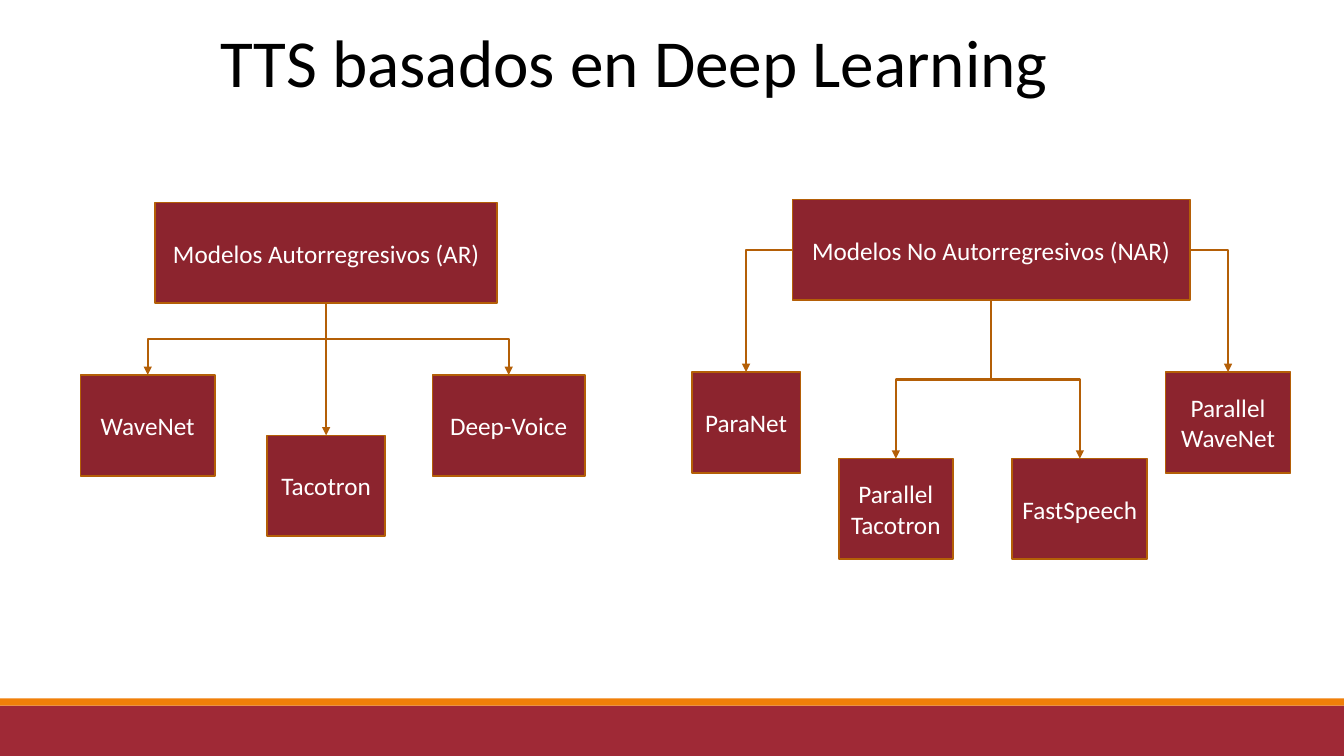
from dataclasses import dataclass

from lxml import etree
from pptx import Presentation
from pptx.dml.color import RGBColor
from pptx.enum.shapes import MSO_CONNECTOR, MSO_SHAPE
from pptx.enum.text import MSO_ANCHOR, MSO_AUTO_SIZE, PP_ALIGN
from pptx.oxml.ns import qn
from pptx.util import Inches, Pt

RECTANGLE = MSO_SHAPE.RECTANGLE
STRAIGHT, ELBOW = MSO_CONNECTOR.STRAIGHT, MSO_CONNECTOR.ELBOW
CENTER, MIDDLE = PP_ALIGN.CENTER, MSO_ANCHOR.MIDDLE
FIT_SHAPE = MSO_AUTO_SIZE.SHAPE_TO_FIT_TEXT

BLACK = RGBColor(0x00, 0x00, 0x00)
WHITE = RGBColor(0xFF, 0xFF, 0xFF)
WINE = RGBColor(0x8C, 0x24, 0x2E)
CRIMSON = RGBColor(0x9F, 0x29, 0x36)
ORANGE = RGBColor(0xF0, 0x7F, 0x09)
BROWN = RGBColor(0xB4, 0x5F, 0x07)

TOP, LEFT, BOTTOM, RIGHT = range(4)
BOX_HEIGHT = 1.0


@dataclass(frozen=True)
class Box:
    text: str
    left: float
    top: float
    width: float

    @property
    def center(self) -> float:
        return self.left + self.width / 2


@dataclass(frozen=True)
class Branch:
    box: Box
    side: int = BOTTOM


@dataclass(frozen=True)
class Family:
    root: Box
    branches: tuple[Branch, ...]


FAMILIES = (
    Family(
        Box("Modelos Autorregresivos (AR)", 1.54, 2.01, 3.39),
        (
            Branch(Box("WaveNet", 0.8, 3.72, 1.33)),
            Branch(Box("Tacotron", 2.65, 4.32, 1.17)),
            Branch(Box("Deep-Voice", 4.29, 3.72, 1.51)),
        ),
    ),
    Family(
        Box("Modelos No Autorregresivos (NAR)", 7.86, 1.98, 3.94),
        (
            Branch(Box("ParaNet", 6.86, 3.69, 1.08), LEFT),
            Branch(Box("Parallel Tacotron", 8.32, 4.55, 1.13)),
            Branch(Box("FastSpeech", 10.04, 4.55, 1.34)),
            Branch(Box("Parallel WaveNet", 11.56, 3.69, 1.24), RIGHT),
        ),
    ),
)


def write_text(shape, text: str, *, size: float, color: RGBColor,
               wrap: bool = True, inset: float = 0.05) -> None:
    frame = shape.text_frame
    frame.word_wrap = wrap
    frame.vertical_anchor = MIDDLE
    frame.margin_left = frame.margin_right = Inches(inset)
    paragraph = frame.paragraphs[0]
    paragraph.alignment = CENTER
    run = paragraph.add_run()
    run.text = text
    run.font.name = "Calibri"
    run.font.size = Pt(size)
    run.font.color.rgb = color


def add_rectangle(slide, left: float, top: float, width: float, height: float,
                  fill: RGBColor, line: RGBColor | None = None):
    shape = slide.shapes.add_shape(
        RECTANGLE, Inches(left), Inches(top), Inches(width), Inches(height))
    shape.shadow.inherit = False
    shape.fill.solid()
    shape.fill.fore_color.rgb = fill
    if line is None:
        shape.line.fill.background()
    else:
        shape.line.color.rgb = line
        shape.line.width = Pt(1.25)
    return shape


def add_box(slide, box: Box):
    shape = add_rectangle(
        slide, box.left, box.top, box.width, BOX_HEIGHT, WINE, BROWN)
    write_text(shape, box.text, size=18, color=WHITE)
    return shape


def route_elbow(connector, start: tuple[float, float],
                end: tuple[float, float], side: int) -> None:
    across, down = abs(end[0] - start[0]), end[1] - start[1]
    goes_left = end[0] < start[0]
    properties = connector._element.spPr
    transform = properties.find(qn("a:xfrm"))
    for name in ("rot", "flipH", "flipV"):
        transform.attrib.pop(name, None)
    if side == BOTTOM:
        width, height = down, across
        degrees, flip = (90, None) if goes_left else (270, "flipH")
    else:
        width, height = across, down
        degrees, flip = (180, "flipV") if goes_left else (0, None)
        properties.find(qn("a:prstGeom")).set("prst", "bentConnector2")
    transform.set("rot", str(degrees * 60000))
    if flip:
        transform.set(flip, "1")
    connector.left = Inches((start[0] + end[0] - width) / 2)
    connector.top = Inches((start[1] + end[1] - height) / 2)
    connector.width, connector.height = Inches(width), Inches(height)


def add_arrow(slide, root: Box, root_shape, branch: Branch, branch_shape) -> None:
    start = {
        LEFT: (root.left, root.top + BOX_HEIGHT / 2),
        BOTTOM: (root.center, root.top + BOX_HEIGHT),
        RIGHT: (root.left + root.width, root.top + BOX_HEIGHT / 2),
    }[branch.side]
    end = (branch.box.center, branch.box.top)
    straight = abs(end[0] - start[0]) < 0.02
    connector = slide.shapes.add_connector(
        STRAIGHT if straight else ELBOW,
        *(Inches(value) for value in start + end))
    connector.begin_connect(root_shape, branch.side)
    connector.end_connect(branch_shape, TOP)
    if not straight:
        route_elbow(connector, start, end, branch.side)
    connector.line.color.rgb = BROWN
    connector.line.width = Pt(1.5)
    etree.SubElement(connector.line._get_or_add_ln(), qn("a:tailEnd"), type="triangle")
    etree.SubElement(connector._element.spPr, qn("a:effectLst"))


def add_family(slide, family: Family) -> None:
    root_shape = add_box(slide, family.root)
    for branch in family.branches:
        branch_shape = add_box(slide, branch.box)
        add_arrow(slide, family.root, root_shape, branch, branch_shape)


def main() -> None:
    presentation = Presentation()
    presentation.slide_width = Inches(13.33)
    presentation.slide_height = Inches(7.5)
    slide = presentation.slides.add_slide(presentation.slide_layouts[5])

    add_rectangle(slide, 0, 7, 13.33, 0.5, CRIMSON)
    add_rectangle(slide, 0, 6.93, 13.33, 0.07, ORANGE)

    title = slide.shapes.title
    title.left, title.top = Inches(2.04), Inches(0.15)
    title.width, title.height = Inches(8.5), Inches(0.91)
    write_text(title, "TTS basados en Deep Learning",
               size=48, color=BLACK, wrap=False, inset=0.1)
    title.text_frame.auto_size = FIT_SHAPE

    for family in FAMILIES:
        add_family(slide, family)
    presentation.save("out.pptx")


if __name__ == "__main__":
    main()
